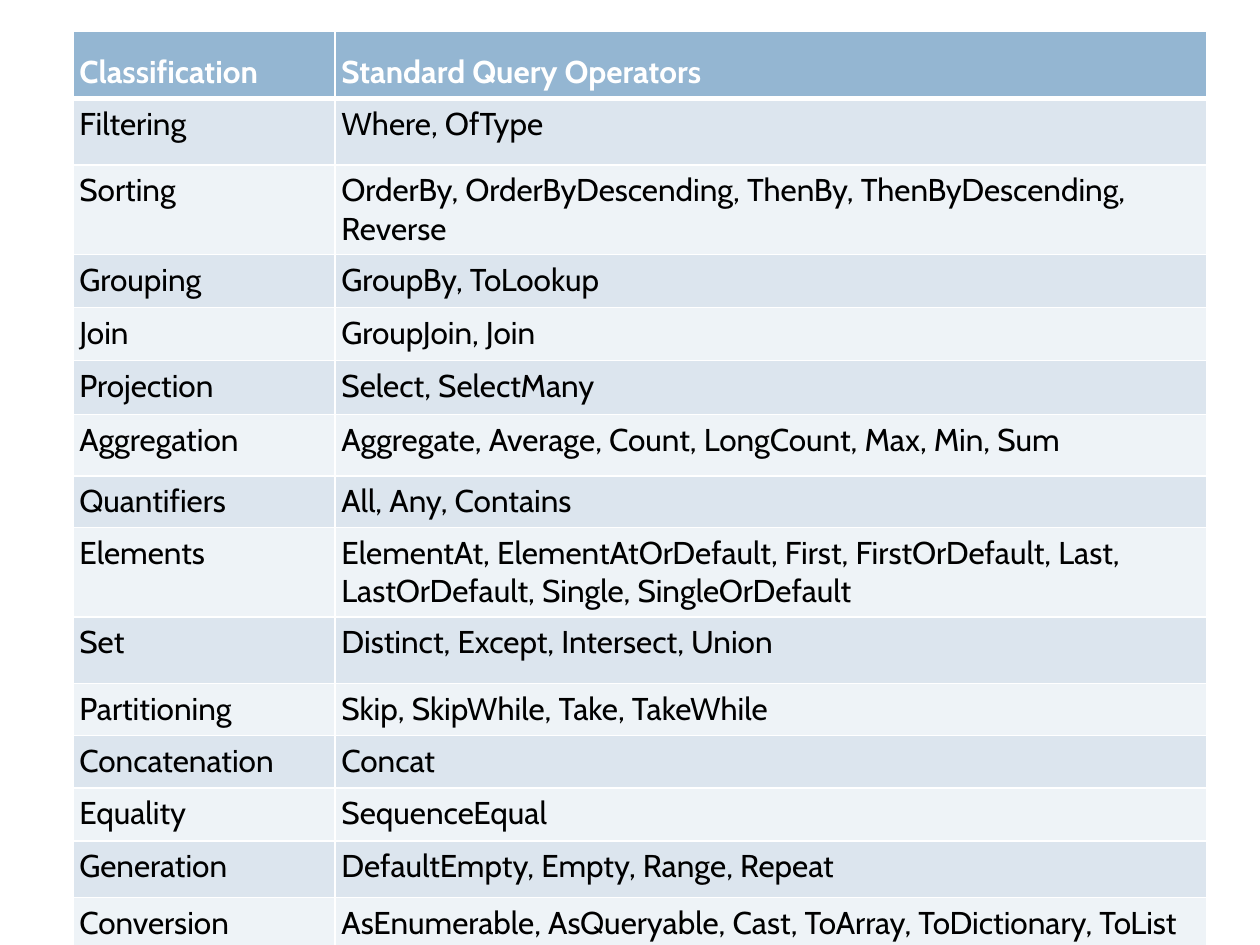
from lxml.etree import SubElement as Sub
from pptx import Presentation as Deck
from pptx.dml.color import RGBColor as Color
from pptx.enum.text import MSO_ANCHOR as Anchor
from pptx.oxml.ns import qn
from pptx.util import Inches, Pt

HEAD = ("Classification", "Standard Query Operators", 0.53)
ROWS = [
    ("Filtering", "Where, OfType", 0.53),
    ("Sorting", "OrderBy, OrderByDescending, ThenBy, ThenByDescending, Reverse", 0.44),
    ("Grouping", "GroupBy, ToLookup", 0.42),
    ("Join", "GroupJoin, Join", 0.42),
    ("Projection", "Select, SelectMany", 0.43),
    ("Aggregation", "Aggregate, Average, Count, LongCount, Max, Min, Sum", 0.49),
    ("Quantifiers", "All, Any, Contains", 0.39),
    ("Elements", "ElementAt, ElementAtOrDefault, First, FirstOrDefault, Last, "
                 "LastOrDefault, Single, SingleOrDefault", 0.53),
    ("Set", "Distinct, Except, Intersect, Union", 0.53),
    ("Partitioning", "Skip, SkipWhile, Take, TakeWhile", 0.41),
    ("Concatenation", "Concat", 0.42),
    ("Equality", "SequenceEqual", 0.42),
    ("Generation", "DefaultEmpty, Empty, Range, Repeat", 0.45),
    ("Conversion", "AsEnumerable, AsQueryable, Cast, ToArray, ToDictionary, ToList", 0.42),
]
COLS = (2.08, 6.92)
LEFT, TOP = 0.58, 0.25
THEME = {
    "font": "Cabin", "size": 18, "pad": 0.05,
    "head": "94B6D2", "bands": ("DCE5EE", "EEF3F7"),
    "light": "FFFFFF", "dark": "000000",
    "thin": 1, "thick": 3,
}


def rule(cell, side, width):
    line = Sub(cell._tc.get_or_add_tcPr(), qn("a:ln" + side), w=str(Pt(width)))
    fill = Sub(line, qn("a:solidFill"))
    Sub(fill, qn("a:srgbClr"), val=THEME["light"])


def style(cell, text, row):
    head = row == 0
    thick = {"B": 0, "T": 1}
    for side in "LRTB":
        rule(cell, side, THEME["thick" if thick.get(side) == row else "thin"])
    cell.fill.solid()
    tone = THEME["head"] if head else THEME["bands"][(row - 1) % 2]
    cell.fill.fore_color.rgb = Color.from_string(tone)
    for side in ("left", "right", "top", "bottom"):
        setattr(cell, "margin_" + side, Inches(THEME["pad"]))
    cell.vertical_anchor = Anchor.BOTTOM if head else Anchor.TOP
    run = cell.text_frame.paragraphs[0].add_run()
    run.text = text
    look = {"name": THEME["font"], "size": Pt(THEME["size"]), "bold": head}
    for key, val in look.items():
        setattr(run.font, key, val)
    run.font.color.rgb = Color.from_string(THEME["light" if head else "dark"])


def main():
    deck = Deck()
    deck.slide_width, deck.slide_height = Inches(10), Inches(7.5)
    slide = deck.slides.add_slide(deck.slide_layouts[6])
    data = [HEAD, *ROWS]
    high = sum(row[-1] for row in data)
    area = [Inches(n) for n in (LEFT, TOP, sum(COLS), high)]
    grid = slide.shapes.add_table(len(data), len(COLS), *area).table
    for col, width in zip(grid.columns, COLS):
        col.width = Inches(width)
    for i, (*texts, tall) in enumerate(data):
        grid.rows[i].height = Inches(tall)
        for j, text in enumerate(texts):
            style(grid.cell(i, j), text, i)
    deck.save("out.pptx")


if __name__ == "__main__":
    main()
